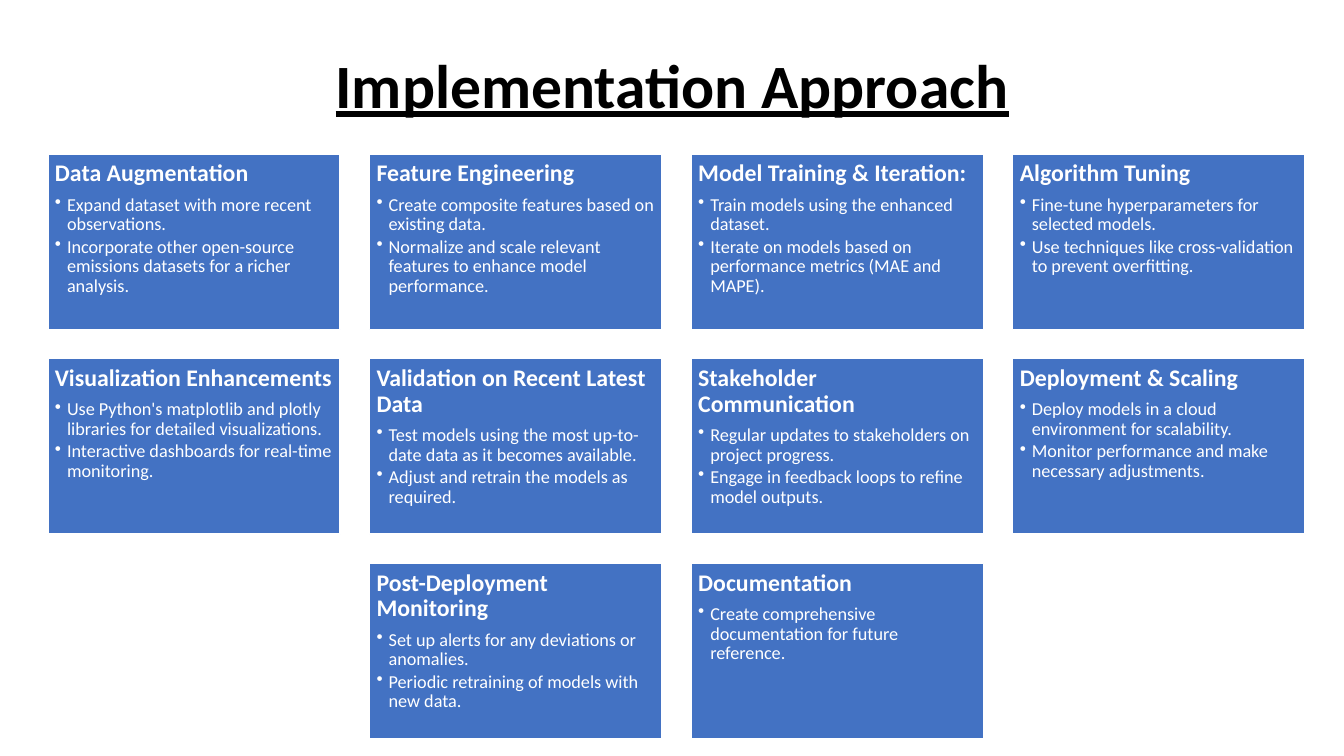
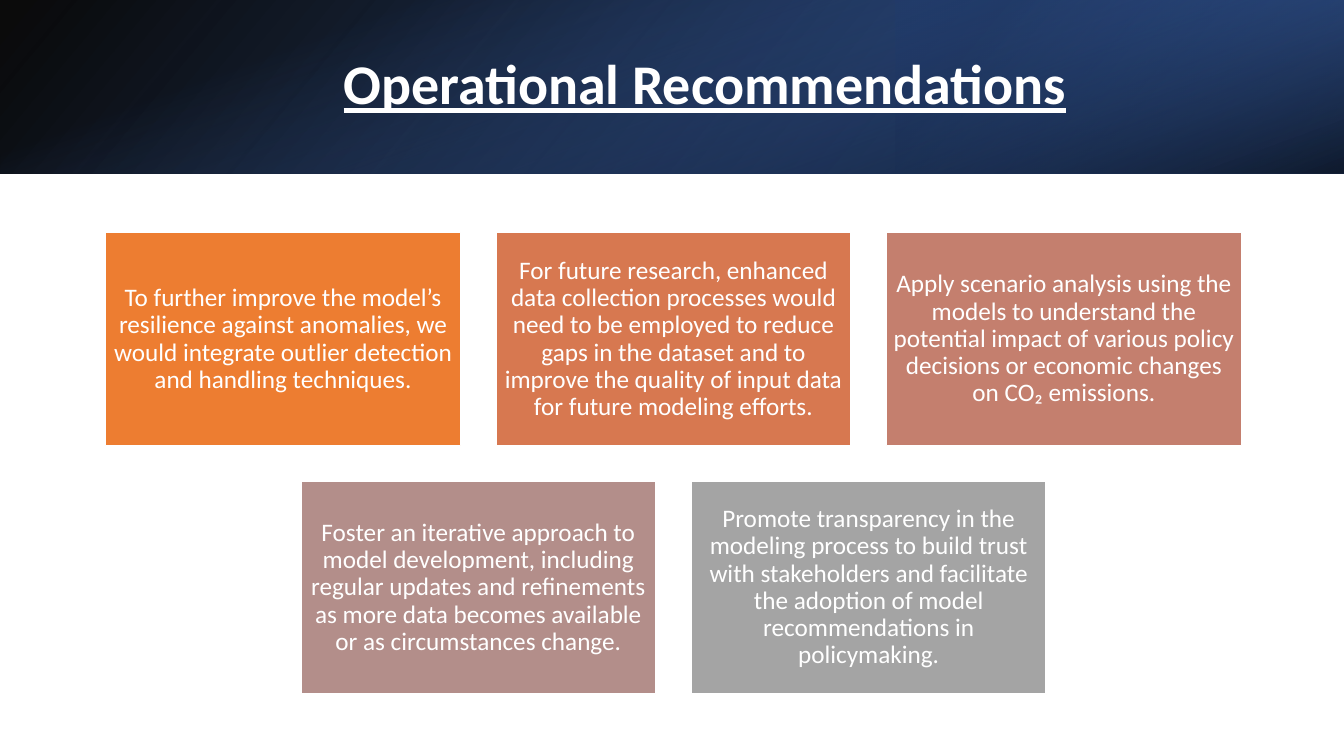
from pptx import Presentation
from pptx.dml.color import RGBColor
from pptx.enum.shapes import MSO_SHAPE
from pptx.enum.text import MSO_ANCHOR, MSO_AUTO_SIZE, PP_ALIGN
from pptx.oxml import parse_xml
from pptx.oxml.ns import nsdecls
from pptx.util import Emu, Inches, Pt

# Shared style
SLIDE_WIDTH, SLIDE_HEIGHT = 13.33, 7.5
FONT = "Calibri"
WHITE, BLACK, BLUE = "FFFFFF", "000000", "4372C3"
CARD_INSET = 0.07
CARD_RATIO = 0.6  # card height as a share of its width
CARD_GAP = 0.1  # gap between cards as a share of card width
BULLET_INDENT = 0.12
BAND_HEIGHT = 1.72

# Slide 1 content: rows of (heading, bullets)
APPROACH_ROWS = [
    [
        ("Data Augmentation", [
            "Expand dataset with more recent observations.",
            "Incorporate other open-source emissions datasets for a richer analysis."]),
        ("Feature Engineering", [
            "Create composite features based on existing data.",
            "Normalize and scale relevant features to enhance model performance."]),
        ("Model Training & Iteration:", [
            "Train models using the enhanced dataset.",
            "Iterate on models based on performance metrics (MAE and MAPE)."]),
        ("Algorithm Tuning", [
            "Fine-tune hyperparameters for selected models.",
            "Use techniques like cross-validation to prevent overfitting."]),
    ],
    [
        ("Visualization Enhancements", [
            "Use Python's matplotlib and plotly libraries for detailed visualizations.",
            "Interactive dashboards for real-time monitoring."]),
        ("Validation on Recent Latest Data", [
            "Test models using the most up-to-date data as it becomes available.",
            "Adjust and retrain the models as required."]),
        ("Stakeholder Communication", [
            "Regular updates to stakeholders on project progress.",
            "Engage in feedback loops to refine model outputs."]),
        ("Deployment & Scaling", [
            "Deploy models in a cloud environment for scalability.",
            "Monitor performance and make necessary adjustments."]),
    ],
    [
        ("Post-Deployment Monitoring", [
            "Set up alerts for any deviations or anomalies.",
            "Periodic retraining of models with new data."]),
        ("Documentation", [
            "Create comprehensive documentation for future reference."]),
    ],
]

# Slide 2 content: rows of (fill colour, text)
RECOMMENDATION_ROWS = [
    [
        ("ED7D31", "To further improve the model’s resilience against anomalies, we would "
                   "integrate outlier detection and handling techniques."),
        ("D77850", "For future research, enhanced data collection processes would need to be "
                   "employed to reduce gaps in the dataset and to improve the quality of "
                   "input data for future modeling efforts."),
        ("C47F6E", "Apply scenario analysis using the models to understand the potential "
                   "impact of various policy decisions or economic changes on CO₂ emissions."),
    ],
    [
        ("B38E8A", "Foster an iterative approach to model development, including regular "
                   "updates and refinements as more data becomes available or as "
                   "circumstances change."),
        ("A4A4A4", "Promote transparency in the modeling process to build trust with "
                   "stakeholders and facilitate the adoption of model recommendations in "
                   "policymaking."),
    ],
]

# Header band layers; each stop is (position %, colour, opacity %)
BAND_LAYERS = [
    {"box": (0, 0, SLIDE_WIDTH, BAND_HEIGHT), "flip": True, "rotation": 0, "angle": 140,
     "stops": [(0, "000000", 96), (100, "2F5496", 100)]},
    {"box": (SLIDE_WIDTH * 2 / 3, 0, SLIDE_WIDTH / 3, BAND_HEIGHT), "flip": True,
     "rotation": 180, "angle": 320,
     "stops": [(0, "1F3864", 68), (19, "1F3864", 68), (100, "4472C4", 79)]},
    {"box": ((SLIDE_WIDTH - BAND_HEIGHT) / 2, (BAND_HEIGHT - SLIDE_WIDTH) / 2,
             BAND_HEIGHT, SLIDE_WIDTH), "flip": False, "rotation": 90, "angle": 340,
     "stops": [(0, "4472C4", 0), (23, "4472C4", 0), (99, "000000", 74),
               (100, "000000", 74)]},
]


def color(hex_string):
    return RGBColor.from_string(hex_string)


def write(paragraph, text, size, font_color=WHITE, bold=False, underline=False,
          align=PP_ALIGN.LEFT, space_before=0):
    paragraph.alignment = align
    paragraph.line_spacing = 0.9
    paragraph.space_before = Pt(space_before)
    run = paragraph.add_run()
    run.text = text
    font = run.font
    font.name, font.size = FONT, Pt(size)
    font.bold, font.underline = bold, underline
    font.color.rgb = color(font_color)


def add_bullet(paragraph):
    properties = paragraph._p.get_or_add_pPr()
    indent = Inches(BULLET_INDENT)
    properties.set("marL", str(indent))
    properties.set("indent", str(-indent))
    properties.append(parse_xml(f'<a:buChar {nsdecls("a")} char="•"/>'))


def add_rectangle(slide, box):
    shape = slide.shapes.add_shape(MSO_SHAPE.RECTANGLE, *(Inches(length) for length in box))
    shape.shadow.inherit = False
    return shape


def add_card(slide, box, fill, anchor):
    shape = add_rectangle(slide, box)
    shape.fill.solid()
    shape.fill.fore_color.rgb = color(fill)
    shape.line.color.rgb = color(WHITE)
    shape.line.width = Pt(1)
    frame = shape.text_frame
    frame.word_wrap = True
    frame.vertical_anchor = anchor
    frame.margin_left = frame.margin_right = Inches(CARD_INSET)
    frame.margin_top = frame.margin_bottom = Inches(CARD_INSET)
    return frame


def place_cards(rows, center, top, width):
    """Yield each card with its box; every row is centred on the same axis."""
    height, gap = width * CARD_RATIO, width * CARD_GAP
    for row_number, row in enumerate(rows):
        left = center - (len(row) * (width + gap) - gap) / 2
        for column, card in enumerate(row):
            yield card, (left + column * (width + gap), top + row_number * (height + gap),
                         width, height)


def add_gradient_layer(slide, box, flip, rotation, angle, stops):
    shape = add_rectangle(slide, box)
    shape.rotation = rotation
    shape.line.fill.background()
    properties = shape.element.spPr
    if flip:
        properties.xfrm.set("flipH", "1")
    stop_xml = "".join(
        f'<a:gs pos="{position * 1000}"><a:srgbClr val="{hex_string}">'
        f'<a:alpha val="{opacity * 1000}"/></a:srgbClr></a:gs>'
        for position, hex_string, opacity in stops)
    properties.prstGeom.addnext(parse_xml(
        f'<a:gradFill {nsdecls("a")} rotWithShape="1"><a:gsLst>{stop_xml}</a:gsLst>'
        f'<a:lin ang="{angle * 60000}" scaled="0"/></a:gradFill>'))


def add_title(slide, text, box, size, font_color):
    title = slide.shapes.title
    title.left, title.top, title.width, title.height = (Inches(length) for length in box)
    frame = title.text_frame
    frame.word_wrap = True
    frame.auto_size = MSO_AUTO_SIZE.NONE
    frame.vertical_anchor = MSO_ANCHOR.MIDDLE
    write(frame.paragraphs[0], text, size, font_color=font_color, bold=True,
          underline=True, align=PP_ALIGN.CENTER)
    # Bring the title in front of the shapes drawn so far
    title.element.getparent().append(title.element)


def build_approach(slide):
    add_title(slide, "Implementation Approach", (0.92, 0.15, 11.5, 1.45), 44, BLACK)
    for (heading, bullets), box in place_cards(APPROACH_ROWS, 6.71, 1.53, 2.9):
        frame = add_card(slide, box, BLUE, MSO_ANCHOR.TOP)
        write(frame.paragraphs[0], heading, 17, bold=True)
        for number, bullet in enumerate(bullets):
            paragraph = frame.add_paragraph()
            paragraph.level = 1
            write(paragraph, bullet, 13, space_before=1.9 if number else 6)
            add_bullet(paragraph)


def build_recommendations(slide):
    for layer in BAND_LAYERS:
        add_gradient_layer(slide, **layer)
    add_title(slide, "Operational Recommendations", (1.5, 0.38, 10.98, 0.96), 40, WHITE)
    for (fill, text), box in place_cards(RECOMMENDATION_ROWS, 6.68, 2.31, 3.52):
        frame = add_card(slide, box, fill, MSO_ANCHOR.MIDDLE)
        write(frame.paragraphs[0], text, 18, align=PP_ALIGN.CENTER)


def main():
    presentation = Presentation()
    presentation.slide_width = Emu(Inches(SLIDE_WIDTH))
    presentation.slide_height = Inches(SLIDE_HEIGHT)
    title_only = presentation.slide_layouts[5]
    for build in (build_approach, build_recommendations):
        build(presentation.slides.add_slide(title_only))
    presentation.save("out.pptx")


if __name__ == "__main__":
    main()
